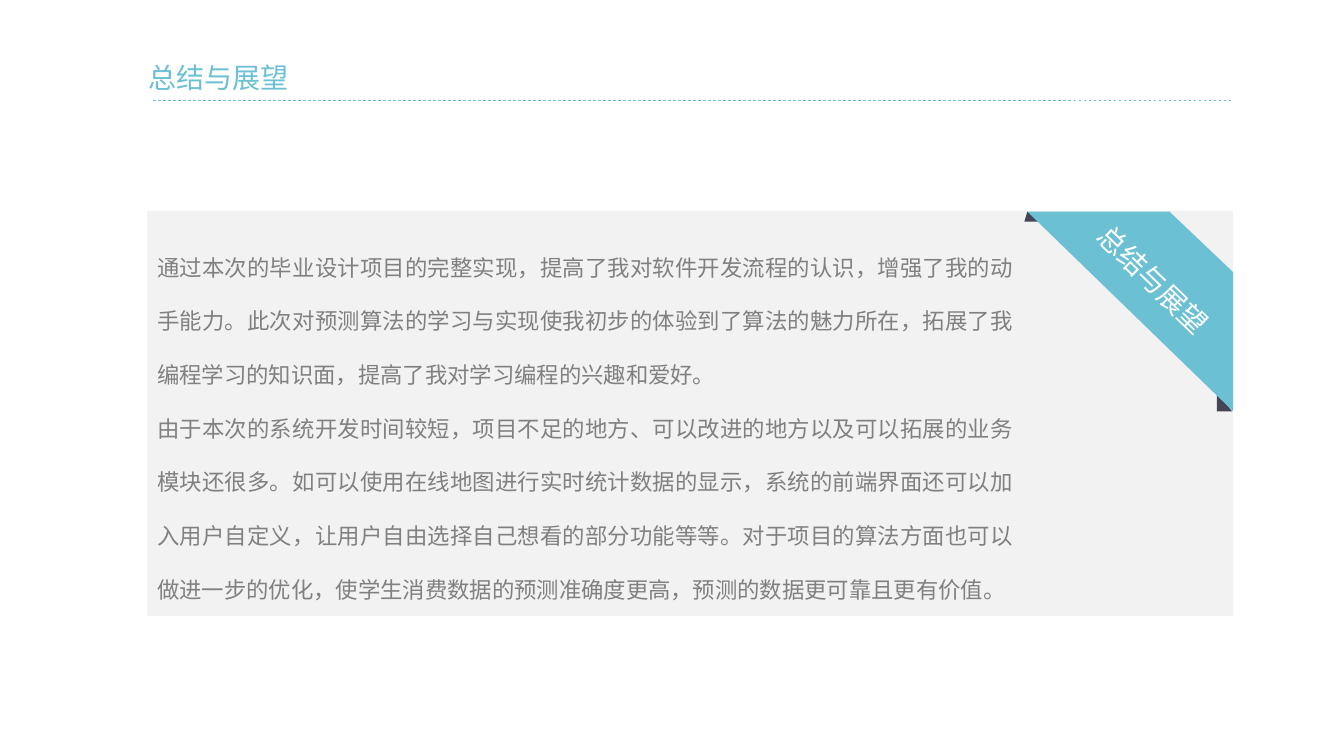
from lxml import etree
from pptx import Presentation
from pptx.dml.color import RGBColor
from pptx.enum.dml import MSO_LINE
from pptx.enum.shapes import MSO_CONNECTOR, MSO_SHAPE
from pptx.enum.text import MSO_ANCHOR, MSO_AUTO_SIZE, PP_ALIGN
from pptx.oxml.ns import qn
from pptx.util import Inches, Pt

DASH = MSO_LINE.DASH
STRAIGHT = MSO_CONNECTOR.STRAIGHT
RECTANGLE = MSO_SHAPE.RECTANGLE
TOP = MSO_ANCHOR.TOP
NO_AUTOFIT = MSO_AUTO_SIZE.NONE
LEFT, JUSTIFY = PP_ALIGN.LEFT, PP_ALIGN.JUSTIFY

FONT = "Noto Sans CJK SC"
TEAL, NAVY, PALE, GRAY, WHITE = "6BC1D3", "444455", "F2F2F2", "808080", "FFFFFF"

HEADING = "总结与展望"
SUMMARY = [
    "通过本次的毕业设计项目的完整实现，提高了我对软件开发流程的认识，增强了我的动手能力。"
    "此次对预测算法的学习与实现使我初步的体验到了算法的魅力所在，拓展了我编程学习的知识面，"
    "提高了我对学习编程的兴趣和爱好。",
    "由于本次的系统开发时间较短，项目不足的地方、可以改进的地方以及可以拓展的业务模块还很多。"
    "如可以使用在线地图进行实时统计数据的显示，系统的前端界面还可以加入用户自定义，"
    "让用户自由选择自己想看的部分功能等等。对于项目的算法方面也可以做进一步的优化，"
    "使学生消费数据的预测准确度更高，预测的数据更可靠且更有价值。",
]


def color(code):
    return RGBColor.from_string(code)


def place(shape, left, top, width, height):
    shape.left, shape.top = Inches(left), Inches(top)
    shape.width, shape.height = Inches(width), Inches(height)


def paint(shape, fill):
    shape.fill.solid()
    shape.fill.fore_color.rgb = color(fill)
    shape.line.fill.background()
    shape.shadow.inherit = False


def write(shape, paragraphs, size, fill, align=LEFT, spacing=1.0, wrap=False):
    frame = shape.text_frame
    frame.text = "\n".join(paragraphs)
    frame.word_wrap = wrap
    frame.auto_size = NO_AUTOFIT
    frame.vertical_anchor = TOP
    for para in frame.paragraphs:
        para.alignment = align
        para.line_spacing = spacing
        para.space_before = Pt(0)
        for span in para.runs:
            span.font.size = Pt(size)
            span.font.name = FONT
            span.font.color.rgb = color(fill)
            properties = span.font._element
            etree.SubElement(properties, qn("a:ea")).set("typeface", FONT)


def remove_bullets(shape):
    for para in shape.text_frame.paragraphs:
        properties = para._p.get_or_add_pPr()
        properties.set("marL", "0")
        properties.set("indent", "0")
        etree.SubElement(properties, qn("a:buNone"))


def add_header(page, left, top, right):
    title = page.shapes.title
    place(title, left, top, 1.6, 0.44)
    write(title, [HEADING], 20, TEAL)
    rule_y = Inches(top + 0.45)
    rule = page.shapes.add_connector(
        STRAIGHT, Inches(left + 0.15), rule_y, Inches(right), rule_y)
    rule.line.color.rgb = color(TEAL)
    rule.line.width = Pt(0.5)
    rule.line.dash_style = DASH
    etree.SubElement(rule._element.spPr, qn("a:effectLst"))


def add_summary(page, left, top, width, height):
    body = page.placeholders[1]
    panel = page.shapes.add_shape(RECTANGLE, 0, 0, 0, 0)
    place(panel, left, top, width, height)
    paint(panel, PALE)
    body.element.addprevious(panel.element)  # keeps the panel behind its text
    place(body, left, top + 0.11, 8.7, 3.79)
    write(body, SUMMARY, 16, GRAY, align=JUSTIFY, spacing=2.0, wrap=True)
    remove_bullets(body)


def add_ribbon(page, right, top):
    """Fold a labelled ribbon over the corner at right, top."""
    ribbon = page.shapes.add_group_shape()
    parts = [
        (NAVY, [(-0.01, 1.98), (-0.16, 1.98), (-0.16, 1.79)]),
        (NAVY, [(-2.04, 0), (-2.07, 0.1), (-1.9, 0.1)]),
        (TEAL, [(-2.04, 0), (0, 1.98), (0, 0.6), (-0.63, 0)]),
    ]
    for fill, offsets in parts:
        points = [(Inches(right + x), Inches(top + y)) for x, y in offsets]
        builder = ribbon.shapes.build_freeform(*points[0])
        builder.add_line_segments(points[1:], close=True)
        paint(builder.convert_to_shape(), fill)
    label = ribbon.shapes.add_textbox(0, 0, 0, 0)
    place(label, right - 1.59, top + 0.46, 1.6, 0.44)
    label.rotation = 44
    write(label, [HEADING], 20, WHITE)


def main():
    deck = Presentation()
    deck.slide_width, deck.slide_height = Inches(13.33), Inches(7.5)
    page = deck.slides.add_slide(deck.slide_layouts[1])
    left, top, width = 1.46, 2.09, 10.77
    right = left + width
    add_header(page, 1.37, 0.55, right)
    add_summary(page, left, top, width, 4.02)
    add_ribbon(page, right, top + 0.01)
    deck.save("out.pptx")


if __name__ == "__main__":
    main()
